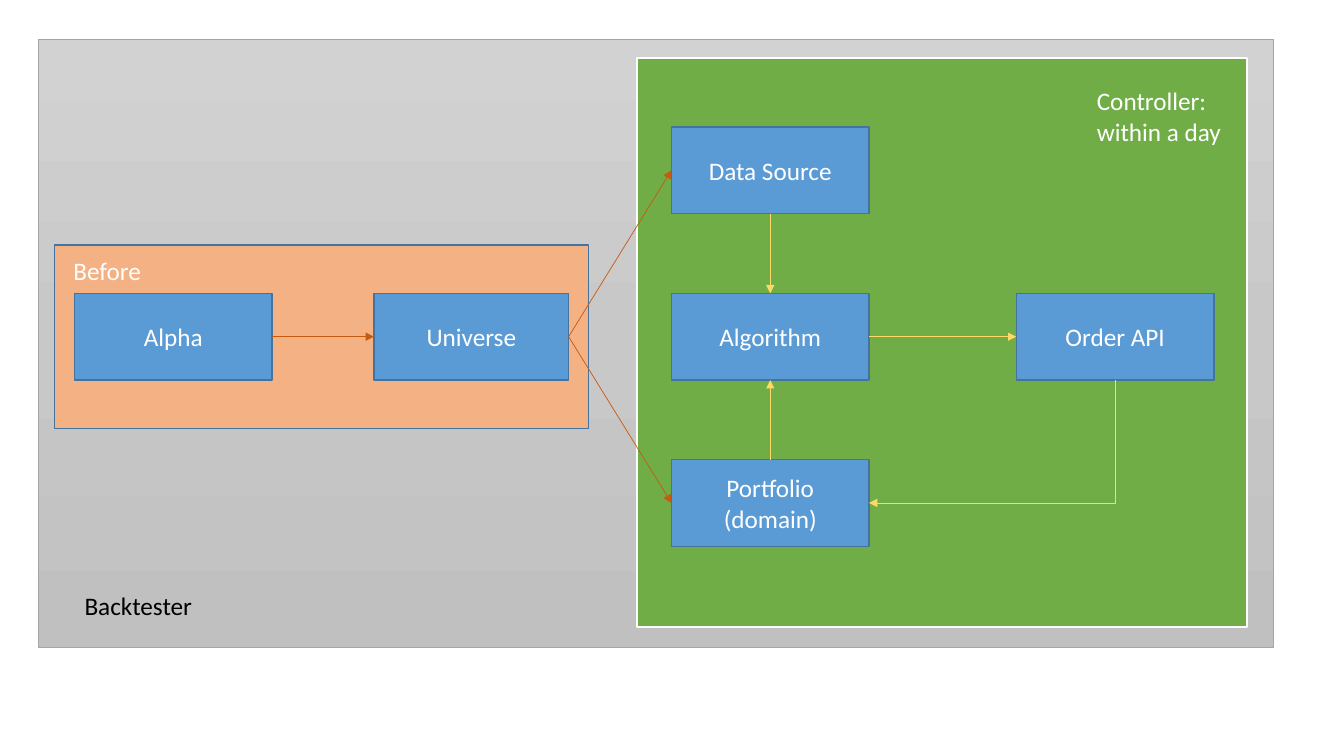
from copy import deepcopy
from dataclasses import dataclass
from enum import IntEnum

from pptx import Presentation
from pptx.dml.color import RGBColor as Color
from pptx.enum.shapes import MSO_CONNECTOR as Connector, MSO_SHAPE as Shape
from pptx.enum.text import MSO_ANCHOR as Anchor, PP_ALIGN as Align
from pptx.oxml.ns import qn
from pptx.oxml.xmlchemy import OxmlElement
from pptx.util import Inches, Pt


@dataclass(frozen=True)
class Theme:
    font: str = "Calibri"
    size: float = 18
    white: str = "FFFFFF"
    black: str = "000000"
    box: str = "5B9BD5"
    border: str = "43739E"
    before: str = "F4B183"
    controller: str = "70AD47"
    gray_line: str = "A5A5A5"
    grays: tuple[str, ...] = ("D2D2D2", "C8C8C8", "C0C0C0")
    setup_flow: str = "C55A11"
    daily_flow: str = "FFD966"


@dataclass(frozen=True)
class Area:
    """A rectangle in percent of the slide's width and height."""
    left: float
    top: float
    width: float
    height: float


@dataclass(frozen=True)
class Step:
    text: str
    column: int
    row: int
    width: float = 14.7


class Side(IntEnum):
    TOP = 0
    LEFT = 1
    BOTTOM = 2
    RIGHT = 3


@dataclass(frozen=True)
class Flow:
    source: str
    leaving: Side
    target: str
    entering: Side
    color: str
    bent: bool = False


theme = Theme()

# Grid of the step boxes, in percent of the slide
COLUMNS = (5.55, 27.83, 49.96, 75.62)
FIRST_ROW, ROW_STEP, BOX_HEIGHT = 16.8, 22, 11.47

STEPS = {
    "alpha": Step("Alpha", 0, 1),
    "universe": Step("Universe", 1, 1, 14.48),
    "algorithm": Step("Algorithm", 2, 1),
    "data": Step("Data Source", 2, 0),
    "portfolio": Step("Portfolio\n(domain)", 2, 2),
    "order": Step("Order API", 3, 1),
}
FLOWS = (
    Flow("alpha", Side.RIGHT, "universe", Side.LEFT, theme.setup_flow),
    Flow("data", Side.BOTTOM, "algorithm", Side.TOP, theme.daily_flow),
    Flow("algorithm", Side.RIGHT, "order", Side.LEFT, theme.daily_flow, bent=True),
    Flow("portfolio", Side.TOP, "algorithm", Side.BOTTOM, theme.daily_flow),
    Flow("order", Side.BOTTOM, "portfolio", Side.RIGHT, theme.daily_flow, bent=True),
    Flow("universe", Side.RIGHT, "portfolio", Side.LEFT, theme.setup_flow),
    Flow("universe", Side.RIGHT, "data", Side.LEFT, theme.setup_flow),
)

deck = Presentation()
deck.slide_width, deck.slide_height = Inches(13.33), Inches(7.5)
page = deck.slides.add_slide(deck.slide_layouts[6])


def place(area: Area) -> tuple[int, ...]:
    across, down = deck.slide_width / 100, deck.slide_height / 100
    return (round(area.left * across), round(area.top * down),
            round(area.width * across), round(area.height * down))


def write(shape, text: str, *, color: str = theme.white,
          align: Align = Align.LEFT, anchor: Anchor = Anchor.TOP) -> None:
    frame = shape.text_frame
    frame.word_wrap = True
    frame.vertical_anchor = anchor
    frame.text = text
    for para in frame.paragraphs:
        para.alignment = align
        for span in para.runs:
            span.font.name, span.font.size = theme.font, Pt(theme.size)
            span.font.color.rgb = Color.from_string(color)


def add_panel(area: Area, fill: str, border: str, weight: float = 1):
    panel = page.shapes.add_shape(Shape.RECTANGLE, *place(area))
    panel.shadow.inherit = False
    panel.fill.solid()
    panel.fill.fore_color.rgb = Color.from_string(fill)
    panel.line.color.rgb = Color.from_string(border)
    panel.line.width = Pt(weight)
    return panel


def shade(panel, colors: tuple[str, ...]) -> None:
    """Fill from top to bottom with evenly spaced colours."""
    panel.fill.gradient()
    panel.fill.gradient_angle = 270
    stop_list = panel.fill._xPr.find(".//" + qn("a:gsLst"))
    while len(stop_list) < len(colors):
        stop_list.append(deepcopy(stop_list[0]))
    for index, (stop, color) in enumerate(zip(panel.fill.gradient_stops, colors)):
        stop.position = index / (len(colors) - 1)
        stop.color.rgb = Color.from_string(color)


def add_step(step: Step):
    area = Area(COLUMNS[step.column], FIRST_ROW + step.row * ROW_STEP,
                step.width, BOX_HEIGHT)
    box = add_panel(area, theme.box, theme.border)
    write(box, step.text, align=Align.CENTER, anchor=Anchor.MIDDLE)
    return box


def turn_single_corner(arrow) -> None:
    """Bend once, down and then left: a quarter turn of bentConnector2."""
    left, top, width, height = arrow.left, arrow.top, arrow.width, arrow.height
    arrow.left, arrow.top = left + (width - height) // 2, top + (height - width) // 2
    arrow.width, arrow.height = height, width
    properties = arrow._element.spPr
    frame = properties.find(qn("a:xfrm"))
    frame.attrib.pop("flipH", None)
    frame.set("rot", str(90 * 60000))
    properties.find(qn("a:prstGeom")).set("prst", "bentConnector2")


def add_flow(flow: Flow, boxes: dict) -> None:
    kind = Connector.ELBOW if flow.bent else Connector.STRAIGHT
    arrow = page.shapes.add_connector(kind, 0, 0, 0, 0)
    arrow.begin_connect(boxes[flow.source], flow.leaving)
    arrow.end_connect(boxes[flow.target], flow.entering)
    if flow.bent and flow.leaving == Side.BOTTOM:
        turn_single_corner(arrow)
    arrow.line.color.rgb = Color.from_string(flow.color)
    arrow.line.width = Pt(0.5)
    head = OxmlElement("a:tailEnd")
    head.set("type", "triangle")
    arrow.line._get_or_add_ln().append(head)
    arrow._element.spPr.append(OxmlElement("a:effectLst"))


def add_label(area: Area, text: str, color: str = theme.white) -> None:
    write(page.shapes.add_textbox(*place(area)), text, color=color)


# Nested panels
backtester = add_panel(Area(2.85, 5.2, 91.9, 80.4), theme.grays[0], theme.gray_line, 0.5)
shade(backtester, theme.grays)
add_panel(Area(4.05, 32.4, 39.76, 24.27), theme.before, theme.border)
add_panel(Area(47.41, 7.73, 45.39, 75.2), theme.controller, theme.white, 1.5)

# Steps and the flows between them
step_boxes = {name: add_step(step) for name, step in STEPS.items()}
for link in FLOWS:
    add_flow(link, step_boxes)

# Panel labels
add_label(Area(80.87, 10.67, 18.9, 9.47), "Controller:\nwithin a day")
add_label(Area(4.73, 33.07, 16.28, 5.33), "Before")
add_label(Area(5.55, 77.47, 19.88, 5.6), "Backtester", theme.black)

deck.save("out.pptx")
